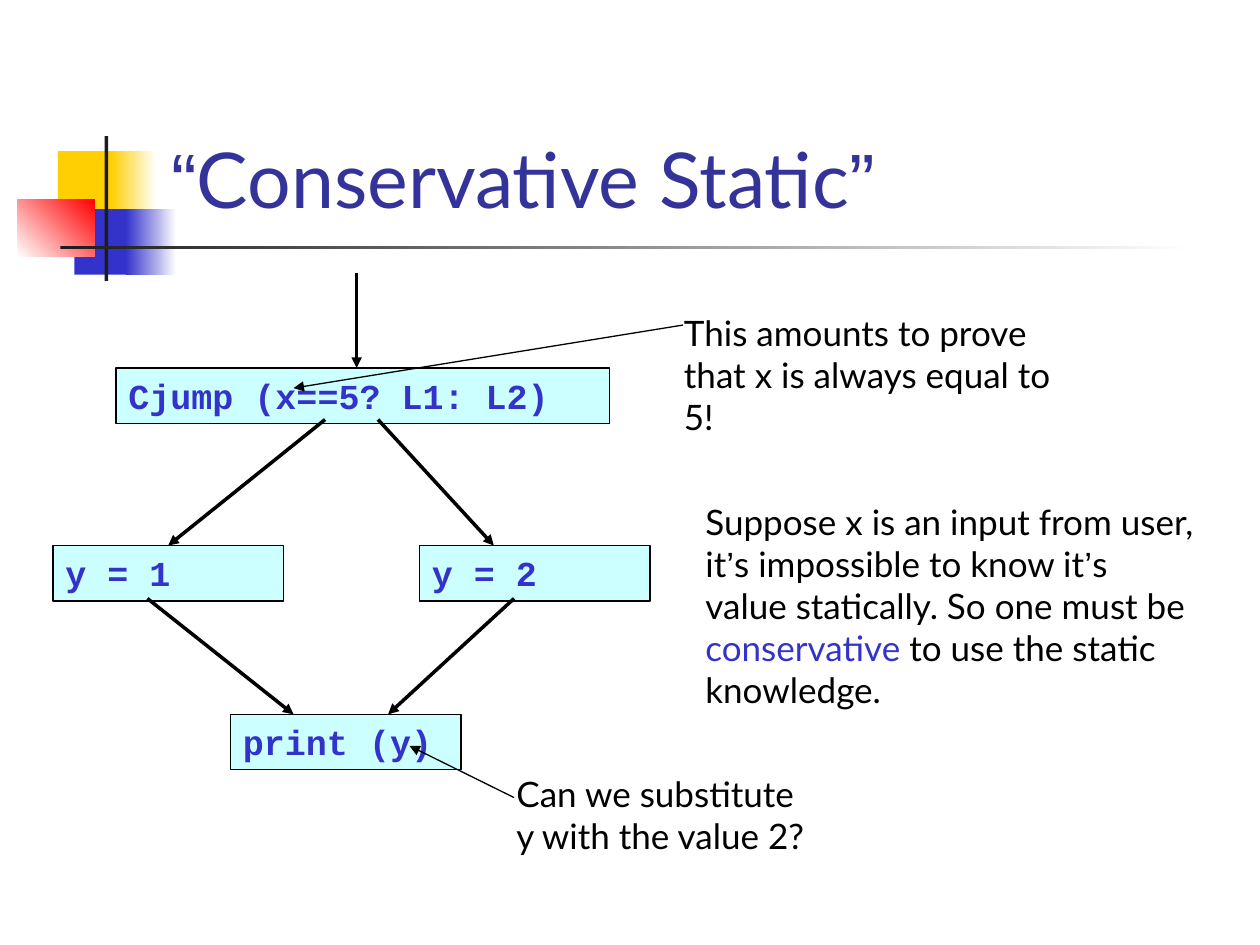
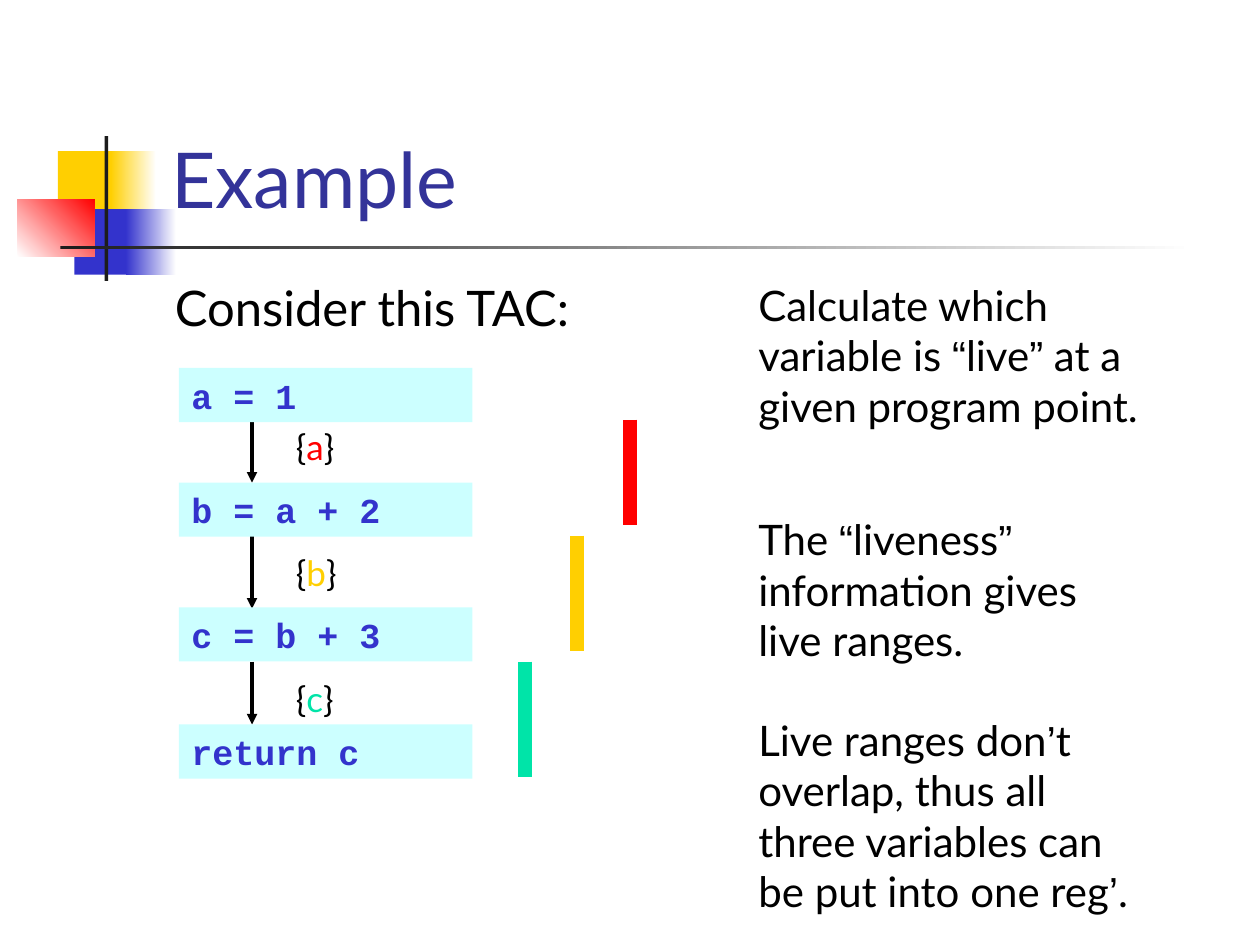
"""Build two slides on static analysis: a branch graph and live ranges."""
from itertools import groupby

from lxml import etree
from pptx import Presentation
from pptx import util as u
from pptx.dml.color import RGBColor
from pptx.enum import shapes, text
from pptx.oxml.ns import qn

PX = 9144
INK = RGBColor(0x00, 0x00, 0x00)
WHITE = RGBColor(0xFF, 0xFF, 0xFF)
DARK = RGBColor(0x1C, 0x1C, 0x1C)
NAVY = RGBColor(0x33, 0x33, 0x99)
BLUE = RGBColor(0x33, 0x33, 0xCC)
GOLD = RGBColor(0xFF, 0xCF, 0x01)
RED = RGBColor(0xFF, 0x00, 0x00)
MINT = RGBColor(0x00, 0xE4, 0xA8)
PALE = RGBColor(0xCC, 0xFF, 0xFF)
SANS, QUOTE, MONO = "Lato", "Arial", "Courier New"
MARKS = "“”’"


class Deck:
    """Hold the style and the current slide."""

    def __init__(self):
        self.file = Presentation()
        self.file.slide_width = 1000 * PX
        self.file.slide_height = 750 * PX

    def page(self, title):
        """Start a slide with the shared ornament and a title."""
        self.slide = self.file.slides.add_slide(self.file.slide_layouts[6])
        self.rect(46, 120, 48, 52, GOLD)
        self.fade(88, 120, 36, 52, GOLD, WHITE)
        self.rect(59, 166, 46, 52, BLUE)
        self.fade(100, 166, 40, 52, BLUE, WHITE)
        self.fade(14, 158, 61, 46, WHITE, RED, 45)
        self.rect(83, 108, 3, 115, DARK)
        self.fade(48, 195, 900, 3, DARK, WHITE)
        frame = self.note(126, 23, 852, 160, [(title, NAVY)], 44)
        frame.auto_size = text.MSO_AUTO_SIZE.NONE
        frame.vertical_anchor = text.MSO_ANCHOR.BOTTOM

    def rect(self, x, y, w, h, fill):
        """Add a plain filled rectangle."""
        box = self.slide.shapes.add_shape(
            shapes.MSO_SHAPE.RECTANGLE, x * PX, y * PX, w * PX, h * PX)
        box.shadow.inherit = False
        box.fill.solid()
        box.fill.fore_color.rgb = fill
        box.line.fill.background()
        return box

    def fade(self, x, y, w, h, start, end, angle=0):
        """Add a rectangle that blends two colours."""
        fill = self.rect(x, y, w, h, start).fill
        fill.gradient()
        fill.gradient_angle = angle
        for stop, tone, place in zip(fill.gradient_stops, (start, end), (0, 1)):
            stop.color.rgb = tone
            stop.position = place

    def code(self, x, y, w, h, words, edge=False):
        """Add a pale box holding one line of code."""
        box = self.rect(x, y, w, h, PALE)
        if edge:
            box.line.color.rgb = INK
            box.line.width = u.Pt(0.75)
        frame = box.text_frame
        frame.text = words
        frame.word_wrap = True
        frame.auto_size = text.MSO_AUTO_SIZE.SHAPE_TO_FIT_TEXT
        frame.vertical_anchor = text.MSO_ANCHOR.TOP
        line = frame.paragraphs[0]
        line.alignment = text.PP_ALIGN.LEFT
        self.style(line.runs[0], MONO, 20, BLUE, True)
        return box

    def note(self, x, y, w, h, parts, size=20):
        """Add wrapped text made of (words, colour) parts."""
        frame = self.slide.shapes.add_textbox(
            x * PX, y * PX, w * PX, h * PX).text_frame
        frame.word_wrap = True
        frame.auto_size = text.MSO_AUTO_SIZE.SHAPE_TO_FIT_TEXT
        line = frame.paragraphs[0]
        for words, tone in parts:
            for mark, chars in groupby(words, lambda char: char in MARKS):
                run = line.add_run()
                run.text = "".join(chars)
                self.style(run, QUOTE if mark else SANS, size, tone)
        return frame

    def style(self, run, face, size, tone, bold=False):
        """Format one run."""
        run.font.name = face
        run.font.size = u.Pt(size)
        run.font.color.rgb = tone
        run.font.bold = bold

    def line(self, start, end, tone=INK, width=2, head=True):
        """Add a straight line, with an arrowhead at its end if asked."""
        x, y = start
        a, b = end
        link = self.slide.shapes.add_connector(
            shapes.MSO_CONNECTOR.STRAIGHT, x * PX, y * PX, a * PX, b * PX)
        link.line.color.rgb = tone
        link.line.width = u.Pt(width)
        if head:
            tail = etree.SubElement(link.get_or_add_ln(), qn("a:tailEnd"))
            tail.set("type", "triangle")
        etree.SubElement(link.element.spPr, qn("a:effectLst"))
        return link


def branch(deck):
    """Draw the branch graph and its remarks."""
    deck.page("“Conservative Static”")
    deck.code(92, 292, 392, 44, "Cjump (x==5? L1: L2)", True)
    left = deck.code(42, 433, 183, 44, "y = 1", True)
    deck.code(333, 433, 183, 44, "y = 2", True)
    deck.code(183, 567, 183, 44, "print (y)", True)
    deck.line((283, 217), (283, 292))
    deck.line((258, 333), (133, 433)).end_connect(left, 0)
    deck.line((300, 333), (392, 433))
    deck.line((117, 475), (233, 567))
    deck.line((408, 475), (308, 567))
    deck.note(400, 608, 258, 77,
              [("Can we substitute y with the value 2?", INK)])
    deck.line((408, 633), (325, 592), width=0.75)
    deck.note(533, 242, 317, 110,
              [("This amounts to prove that x is always equal to 5!", INK)])
    deck.line((542, 258), (233, 308), width=0.75)
    deck.note(550, 392, 408, 177, [
        ("Suppose x is an input from user, it’s impossible to know it’s "
         "value statically. So one must be ", INK),
        ("conservative", BLUE),
        (" to use the static knowledge.", INK)])


def ranges(deck):
    """Draw the code steps, the live sets and the live ranges."""
    deck.page("Example")
    remarks = [
        (217, 130, "Calculate which variable is “live” at a given program point."),
        (403, 130, "The “liveness” information gives live ranges."),
        (562, 170, "Live ranges don’t overlap, thus all three variables can "
                   "be put into one reg’.")]
    for y, h, words in remarks:
        deck.note(592, y, 325, h, [(words, INK)], 24)
    body = deck.note(129, 221, 396, 54, [("Consider this TAC:", INK)], 28)
    body.auto_size = text.MSO_AUTO_SIZE.NONE
    body.paragraphs[0].line_spacing = 0.9
    lives = [("a", RED, 333, 383, 500, 84), ("b", GOLD, 425, 483, 458, 92),
             ("c", MINT, 525, 575, 417, 92)]
    for step, (name, tone, top, end, x, span) in enumerate(lives):
        deck.line((200, top), (200, end))
        deck.note(225, 333 + 100 * step, 75, 43,
                  [("{", INK), (name, tone), ("}", INK)])
        deck.line((x, top), (x, top + span), tone, 8, False)
    steps = [(292, "a = 1"), (383, "b = a + 2"), (482, "c = b + 3"),
             (575, "return c")]
    for y, words in steps:
        deck.code(142, y, 233, 43, words)


def main():
    """Build and save the slides."""
    deck = Deck()
    branch(deck)
    ranges(deck)
    deck.file.save("out.pptx")


if __name__ == "__main__":
    main()
